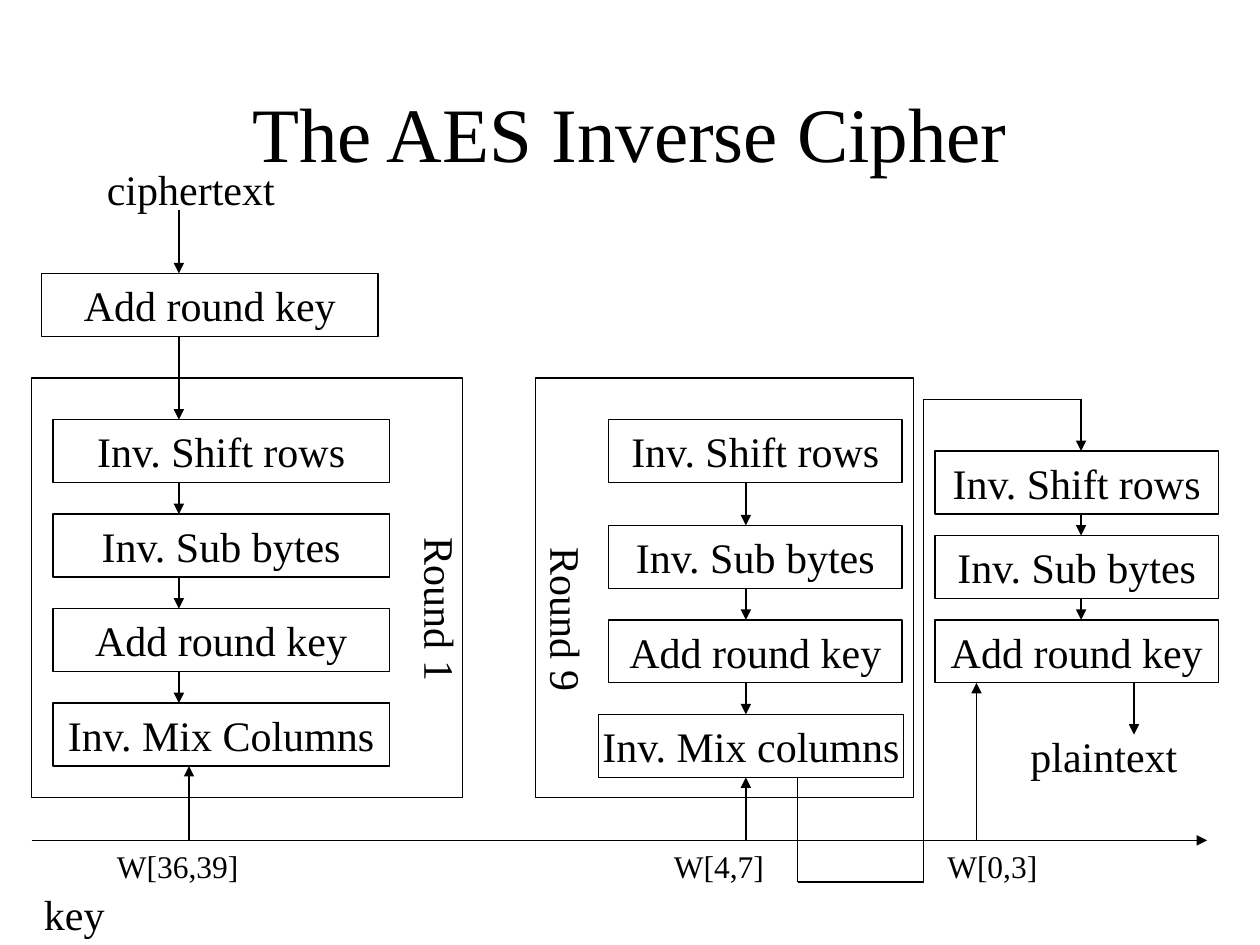
from lxml import etree
from pptx import Presentation
from pptx.dml.color import RGBColor
from pptx.enum.shapes import MSO_CONNECTOR, MSO_SHAPE
from pptx.enum.text import MSO_ANCHOR, MSO_AUTO_SIZE, PP_ALIGN
from pptx.oxml.ns import qn
from pptx.util import Inches, Pt

BLACK = RGBColor(0, 0, 0)
FONT = "Times New Roman"
BOX_H = 0.5


class Board:
    """Holds the slide and the style of its parts."""

    def __init__(self, slide):
        self.slide = slide
        self.width = Pt(0.75)

    def fill_text(self, frame, text, size, align):
        frame.text = text
        para = frame.paragraphs[0]
        para.alignment = align
        for run in para.runs:
            run.font.name = FONT
            run.font.size = Pt(size)
            run.font.color.rgb = BLACK

    def rect(self, x, y, w, h, text=""):
        shape = self.slide.shapes.add_shape(
            MSO_SHAPE.RECTANGLE, Inches(x), Inches(y), Inches(w), Inches(h))
        shape.shadow.inherit = False
        shape.fill.background()
        shape.line.color.rgb = BLACK
        shape.line.width = self.width
        if text:
            frame = shape.text_frame
            frame.word_wrap = False
            frame.vertical_anchor = MSO_ANCHOR.MIDDLE
            self.fill_text(frame, text, 24, PP_ALIGN.CENTER)

    def label(self, x, y, w, h, text, size=24, turn=0, wrap=False):
        box = self.slide.shapes.add_textbox(
            Inches(x), Inches(y), Inches(w), Inches(h))
        box.rotation = turn
        box.text_frame.word_wrap = wrap
        box.text_frame.auto_size = MSO_AUTO_SIZE.SHAPE_TO_FIT_TEXT
        self.fill_text(box.text_frame, text, size, PP_ALIGN.LEFT)

    def title(self, x, y, w, h, text):
        box = self.slide.shapes.add_textbox(
            Inches(x), Inches(y), Inches(w), Inches(h))
        box.text_frame.word_wrap = True
        box.text_frame.vertical_anchor = MSO_ANCHOR.MIDDLE
        self.fill_text(box.text_frame, text, 44, PP_ALIGN.CENTER)

    def line(self, start, end, arrow=True):
        x1, y1, x2, y2 = map(Inches, (*start, *end))
        link = self.slide.shapes.add_connector(
            MSO_CONNECTOR.STRAIGHT, x1, y1, x2, y2)
        link.line.color.rgb = BLACK
        link.line.width = self.width
        props = link._element.spPr
        if arrow:
            tail = etree.SubElement(props.find(qn("a:ln")), qn("a:tailEnd"))
            tail.set("type", "triangle")
        etree.SubElement(props, qn("a:effectLst"))

    def stack(self, steps, flow):
        """Draw boxes (x, y, w, text) and the arrows between them at x = flow."""
        for x, y, w, text in steps:
            self.rect(x, y, w, BOX_H, text)
        for upper, lower in zip(steps, steps[1:]):
            self.line((flow, upper[1] + BOX_H), (flow, lower[1]))

    def route(self, points):
        """Draw a bent line whose last part has the arrowhead."""
        last = len(points) - 2
        for i, (start, end) in enumerate(zip(points, points[1:])):
            self.line(start, end, arrow=i == last)


def main():
    deck = Presentation()
    deck.slide_width, deck.slide_height = Inches(10), Inches(7.5)
    board = Board(deck.slides.add_slide(deck.slide_layouts[6]))
    board.title(0.75, 0.42, 8.5, 1.25, "The AES Inverse Cipher")

    # Round frames
    board.rect(0.25, 3, 3.42, 3.33)
    board.rect(4.25, 3, 3, 3.33)
    board.label(2.83, 4.59, 1.34, 0.5, "Round 1", turn=90)
    board.label(3.83, 4.67, 1.34, 0.5, "Round 9", turn=90)

    # Input and round 1
    names = ["Inv. Shift rows", "Inv. Sub bytes", "Add round key",
             "Inv. Mix Columns"]
    first = [(0.42, 3.33 + 0.75 * i, 2.67, name)
             for i, name in enumerate(names)]
    board.label(0.75, 1.25, 1.53, 0.5, "ciphertext")
    board.line((1.42, 1.67), (1.42, 2.17))
    board.stack([(0.33, 2.17, 2.67, "Add round key"), *first], 1.42)

    # Round 9
    board.stack([(4.83, 3.33, 2.33, "Inv. Shift rows"),
                 (4.83, 4.17, 2.33, "Inv. Sub bytes"),
                 (4.83, 4.92, 2.33, "Add round key"),
                 (4.75, 5.67, 2.42, "Inv. Mix columns")], 5.92)

    # Last round and output
    board.stack([(7.42, 3.58 + 0.67 * i, 2.25, name)
                 for i, name in enumerate(names[:3])], 8.58)
    board.route([(6.33, 6.17), (6.33, 7), (7.33, 7), (7.33, 3.17),
                 (8.58, 3.17), (8.58, 3.58)])
    board.line((9, 5.42), (9, 5.83))
    board.label(8.08, 5.75, 1.69, 0.5, "plaintext", wrap=True)

    # Key schedule
    axis = 6.67
    board.line((0.25, axis), (9.58, axis))
    board.label(0.25, 7, 0.68, 0.5, "key")
    for x, top, left, w, text in [(1.5, 6.08, 0.83, 1.17, "W[36,39]"),
                                  (5.92, 6.17, 5.25, 1.17, "W[4,7]"),
                                  (7.75, 5.42, 7.42, 0.92, "W[0,3]")]:
        board.line((x, axis), (x, top))
        board.label(left, axis, w, 0.4, text, size=18, wrap=True)

    deck.save("out.pptx")


if __name__ == "__main__":
    main()
